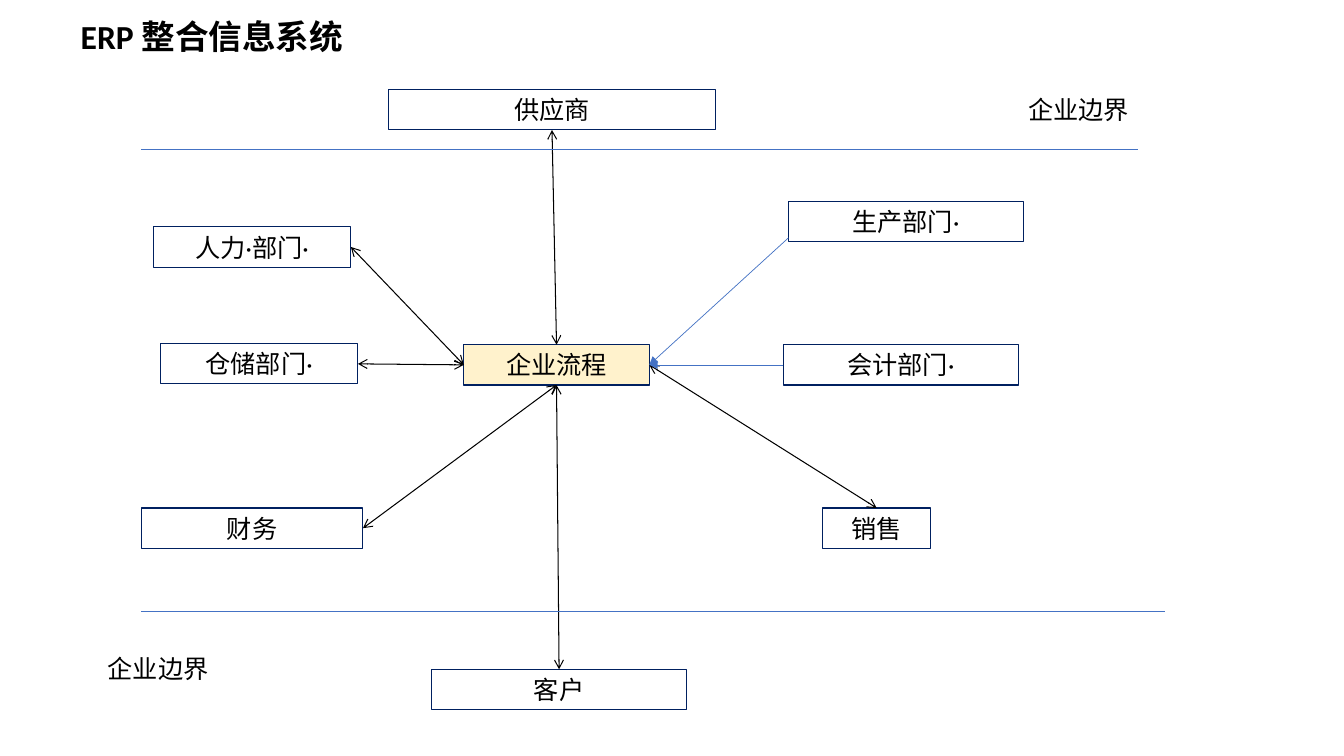
from lxml import etree
from pptx import Presentation
from pptx import util as u
from pptx.dml.color import RGBColor
from pptx.enum import shapes, text
from pptx.oxml import ns

TOP, LEFT, BOTTOM, RIGHT = range(4)
BLACK, NAVY, BLUE, CREAM = "000000", "002060", "4472C4", "FFF2CC"
BOX_HEIGHT = 0.4

UNITS = {
    "供应商": (3.85, 0.89, 3.25),
    "企业流程": (4.6, 3.42, 1.84),
    "人力·部门·": (1.52, 2.25, 1.96),
    "仓储部门·": (1.59, 3.41, 1.96),
    "财务": (1.4, 5.04, 2.2),
    "客户": (4.28, 6.64, 2.53),
    "销售": (8.16, 5.04, 1.07),
    "会计部门·": (7.77, 3.42, 2.33),
    "生产部门·": (7.82, 2, 2.33),
}
CENTRE = "企业流程"
EXCHANGES = [
    ("供应商", BOTTOM, TOP),
    ("人力·部门·", RIGHT, LEFT),
    ("仓储部门·", RIGHT, LEFT),
    ("财务", RIGHT, BOTTOM),
    ("客户", TOP, BOTTOM),
    ("销售", TOP, RIGHT),
]
BOUNDARIES = [
    ((1.4, 1.48, 9.89), (10.1, 0.89)),
    ((1.4, 6.07, 10.15), (0.97, 6.43)),
]


def colour(hex_code):
    return RGBColor.from_string(hex_code)


def inches(*lengths):
    return [u.Inches(length) for length in lengths]


def write(frame, words, size=18, bold=False, align=text.PP_ALIGN.LEFT,
          anchor=text.MSO_ANCHOR.TOP):
    frame.text = words
    frame_format = {"word_wrap": True, "vertical_anchor": anchor,
                    "auto_size": text.MSO_AUTO_SIZE.NONE}
    for name, value in frame_format.items():
        setattr(frame, name, value)
    paragraph = frame.paragraphs[0]
    paragraph.alignment = align
    font = paragraph.runs[0].font
    for name, value in {"name": "Calibri", "size": u.Pt(size), "bold": bold}.items():
        setattr(font, name, value)
    font.color.rgb = colour(BLACK)
    return paragraph


def add_title(slide, box, words):
    title = slide.shapes.title
    for name, value in zip(("left", "top", "width", "height"), inches(*box)):
        setattr(title, name, value)
    paragraph = write(title.text_frame, words, size=24, bold=True)
    paragraph.line_spacing = 0.9


def add_unit(slide, box, words):
    unit = slide.shapes.add_shape(shapes.MSO_SHAPE.RECTANGLE, *inches(*box))
    unit.shadow.inherit = False
    if words == CENTRE:
        unit.fill.solid()
        unit.fill.fore_color.rgb = colour(CREAM)
    else:
        unit.fill.background()
    unit.line.color.rgb = colour(NAVY)
    unit.line.width = u.Pt(0.75)
    write(unit.text_frame, words, align=text.PP_ALIGN.CENTER,
          anchor=text.MSO_ANCHOR.MIDDLE)
    return unit


def add_line(slide, start, end, line_colour=BLACK, width=0.75, arrows=None):
    link = slide.shapes.add_connector(shapes.MSO_CONNECTOR.STRAIGHT,
                                      *inches(*start, *end))
    link.line.color.rgb = colour(line_colour)
    link.line.width = u.Pt(width)
    outline = link.line._get_or_add_ln()
    for tag, kind in (arrows or {}).items():
        etree.SubElement(outline, ns.qn(tag), type=kind)
    etree.SubElement(link._element.spPr, ns.qn("a:effectLst"))
    return link


def add_boundary(slide, rule, label):
    left, top, width = rule
    add_line(slide, (left, top), (left + width, top), BLUE, 0.5)
    caption = slide.shapes.add_textbox(*inches(*label, 2.04, BOX_HEIGHT))
    write(caption.text_frame, "企业边界")


def add_process_map(slide):
    units = {name: add_unit(slide, (*place, BOX_HEIGHT), name)
             for name, place in UNITS.items()}
    process = units[CENTRE]
    both_ways = {"a:headEnd": "arrow", "a:tailEnd": "arrow"}
    for name, unit_side, process_side in EXCHANGES:
        exchange = add_line(slide, (0, 0), (1, 1), arrows=both_ways)
        exchange.begin_connect(units[name], unit_side)
        exchange.end_connect(process, process_side)
    for start in ((7.82, 2.36), (7.77, 3.62)):
        supply = add_line(slide, start, (6.43, 3.62), BLUE, 0.5,
                          {"a:tailEnd": "triangle"})
        supply.end_connect(process, RIGHT)


def main():
    deck = Presentation()
    deck.slide_width, deck.slide_height = inches(13.33, 7.5)
    slide = deck.slides.add_slide(deck.slide_layouts[5])
    add_title(slide, (0.7, 0.15, 11.84, 0.6), "ERP 整合信息系统")
    add_process_map(slide)
    for rule, label in BOUNDARIES:
        add_boundary(slide, rule, label)
    deck.save("out.pptx")


if __name__ == "__main__":
    main()
